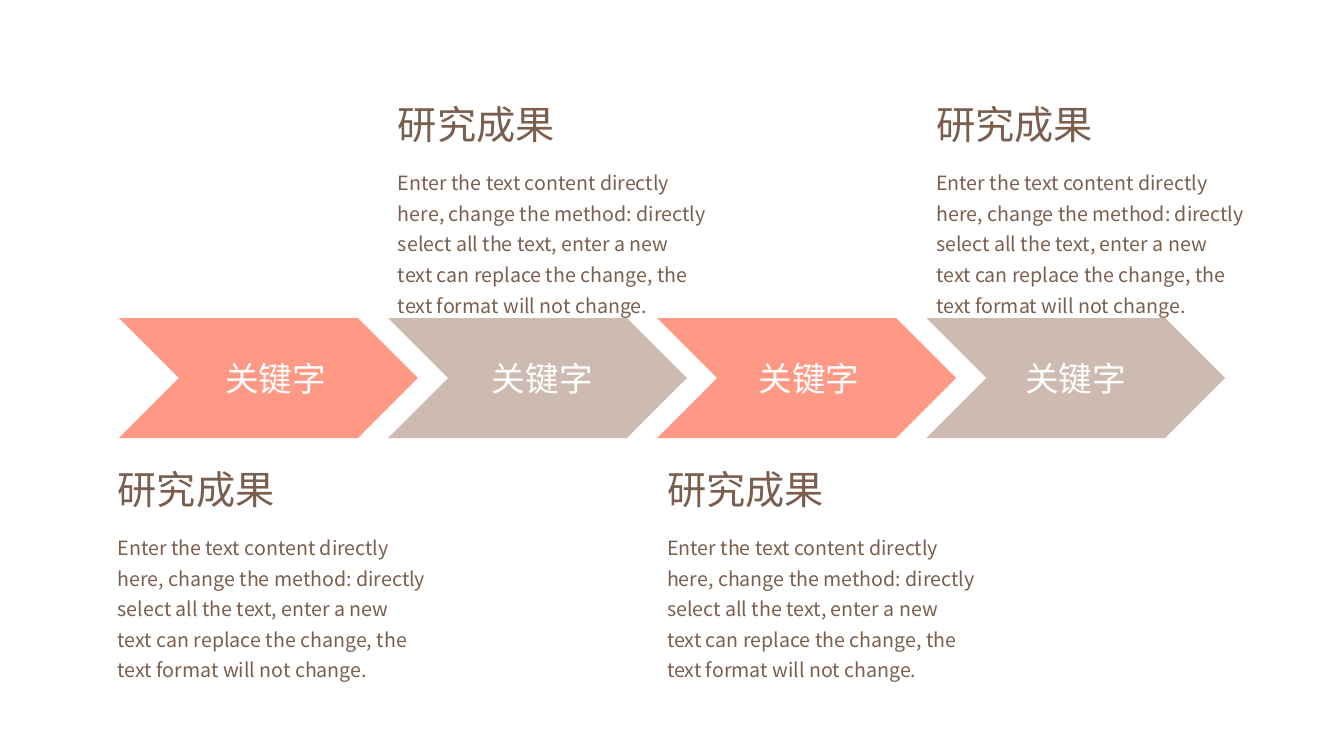
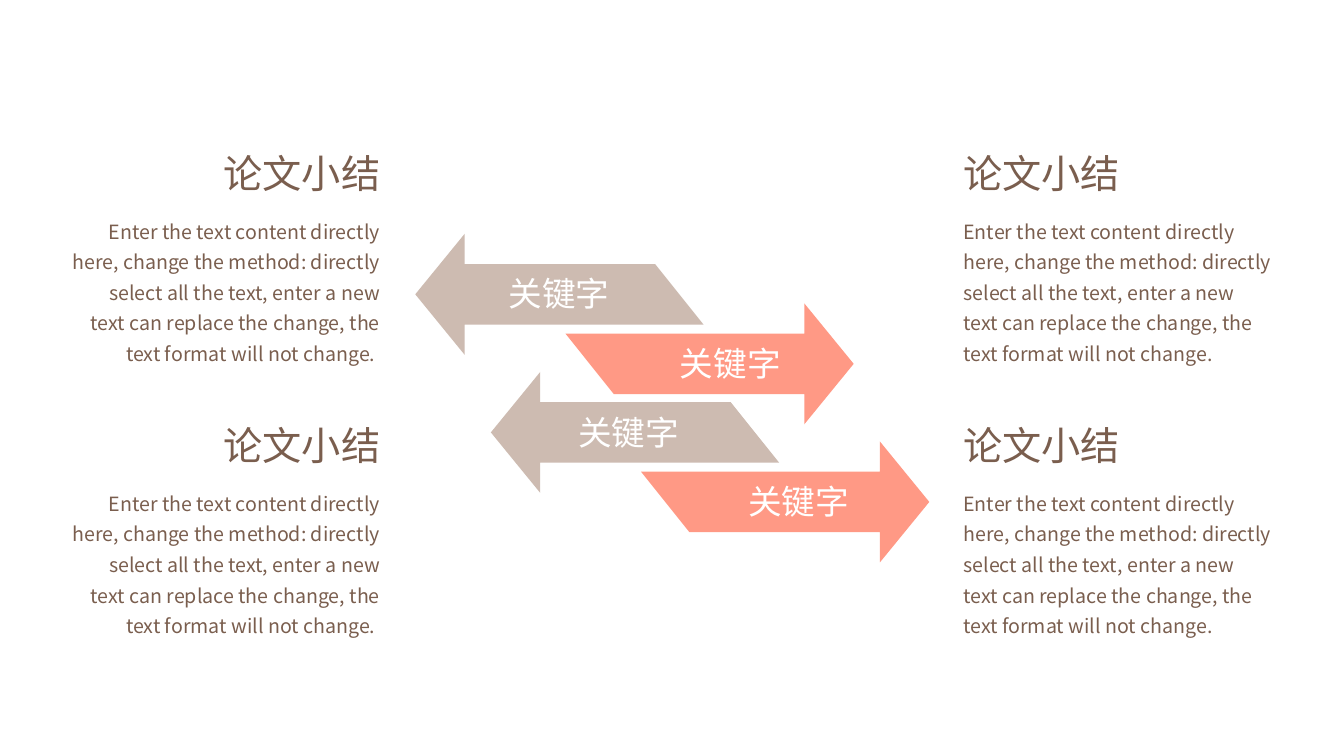
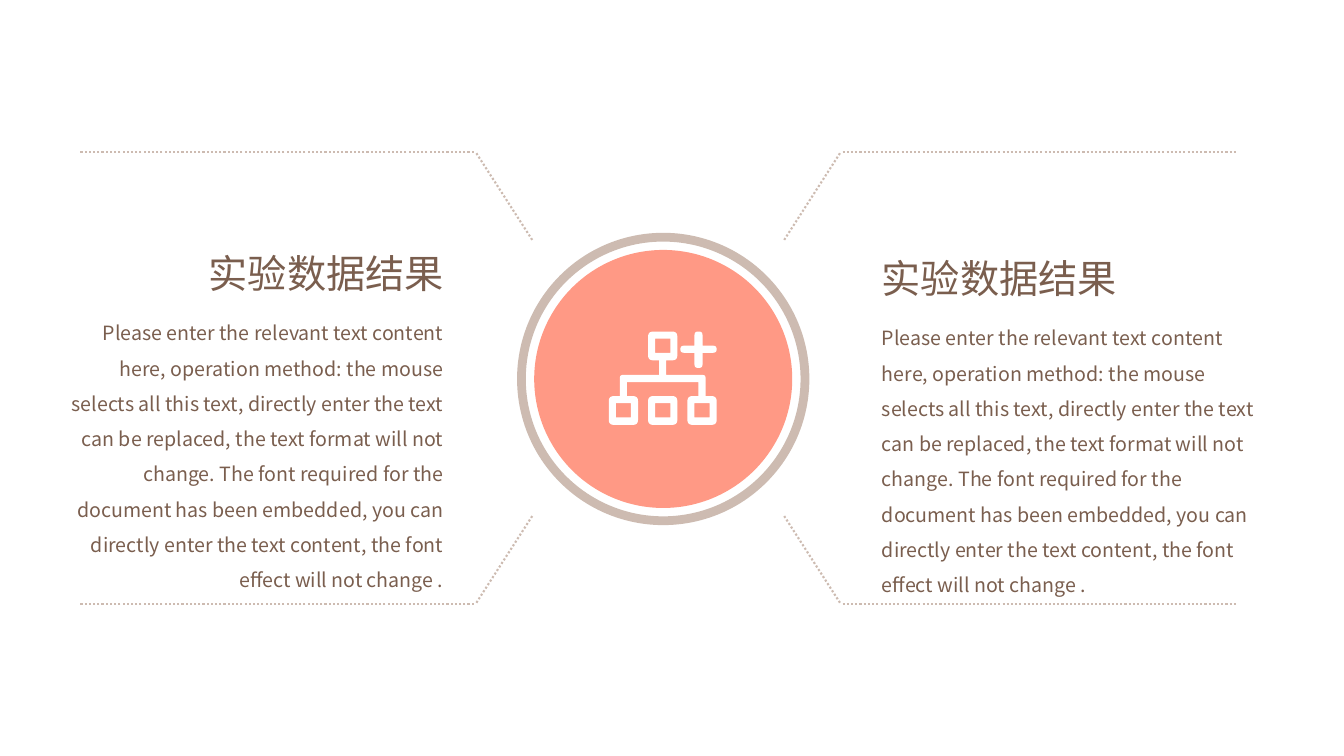
from lxml import etree
from pptx import Presentation
from pptx.dml.color import RGBColor
from pptx.enum.dml import MSO_LINE
from pptx.enum.shapes import MSO_CONNECTOR, MSO_SHAPE
from pptx.enum.text import MSO_AUTO_SIZE, PP_ALIGN
from pptx.oxml.ns import qn
from pptx.util import Inches, Pt
from math import dist

COLORS = {"coral": "FF9985", "taupe": "CDBBB1", "brown": "7A5E4E", "white": "FFFFFF"}
FONT = "Noto Sans CJK SC"
KEYWORD = "关键字"
SHORT_TEXT = (
    "Enter the text content directly here, change the method: directly select all "
    "the text, enter a new text can replace the change, the text format will not change."
)
LONG_TEXT = (
    "Please enter the relevant text content here, operation method: the mouse selects "
    "all this text, directly enter the text can be replaced, the text format will not "
    "change. The font required for the document has been embedded, you can directly "
    "enter the text content, the font effect will not change ."
)


def rgb(name):
    return RGBColor.from_string(COLORS[name])


# Elements shared by the slides
def add_text(slide, box, text, size, color="brown", align=PP_ALIGN.LEFT, spacing=1.0):
    shape = slide.shapes.add_textbox(*map(Inches, box))
    frame = shape.text_frame
    frame.word_wrap = True
    frame.auto_size = MSO_AUTO_SIZE.SHAPE_TO_FIT_TEXT
    paragraph = frame.paragraphs[0]
    paragraph.text = text
    paragraph.alignment = align
    paragraph.line_spacing = spacing
    font = paragraph.font
    font.size = Pt(size)
    font.color.rgb = rgb(color)
    font.name = FONT
    properties = paragraph._p.pPr.find(qn("a:defRPr"))
    etree.SubElement(properties, qn("a:ea")).set("typeface", FONT)


def add_label(slide, left, top):
    add_text(slide, (left, top, 1.77, 0.5), KEYWORD, 24, "white", PP_ALIGN.CENTER)


def add_block(slide, left, top, title, body, align=PP_ALIGN.LEFT,
              width=3.26, height=1.3, body_offset=0.63, spacing=1.3):
    add_text(slide, (left, top, width, 0.57), title, 28, align=align)
    add_text(slide, (left, top + body_offset, width, height), body, 14,
             align=align, spacing=spacing)


def paint(shape, color):
    shape.shadow.inherit = False
    shape.fill.solid()
    shape.fill.fore_color.rgb = rgb(color)
    shape.line.fill.background()


def add_shape(slide, kind, box, color, adjustment=None):
    shape = slide.shapes.add_shape(kind, *map(Inches, box))
    paint(shape, color)
    if adjustment is not None:
        shape.adjustments[0] = adjustment


def add_outline(slide, contours, color):
    """One filled freeform made of closed contours."""
    scaled = [[(Inches(x), Inches(y)) for x, y in contour] for contour in contours]
    builder = slide.shapes.build_freeform(*scaled[0][0])
    for index, contour in enumerate(scaled):
        if index:
            builder.move_to(*contour[0])
        builder.add_line_segments(contour[1:], close=True)
    paint(builder.convert_to_shape(), color)


def add_dotted_line(slide, start, end):
    line = slide.shapes.add_connector(MSO_CONNECTOR.STRAIGHT, *map(Inches, start + end))
    line.line.color.rgb = rgb("taupe")
    line.line.width = Pt(1.5)
    line.line.dash_style = MSO_LINE.ROUND_DOT
    etree.SubElement(line._element.spPr, qn("a:effectLst"))


def add_slanted_arrow(slide, tail_x, tail_y, direction, color):
    """Arrow with a slanted tail; direction 1 points right, -1 is turned half round."""
    outline = [(0, 0), (0.48, 0.6), (2.37, 0.6), (2.37, 0.9),
               (2.86, 0.3), (2.37, -0.3), (2.37, 0)]
    add_outline(slide, [[(tail_x + direction * x, tail_y + direction * y)
                         for x, y in outline]], color)


# Tree icon
def round_corners(corners, steps=6):
    """Turn (x, y, radius) corners into points, with each corner as a short curve."""
    points = []
    for index, (x, y, radius) in enumerate(corners):
        if not radius:
            points.append((x, y))
            continue
        ends = []
        for other in (corners[index - 1], corners[(index + 1) % len(corners)]):
            share = radius / dist((x, y), other[:2])
            ends.append((x + (other[0] - x) * share, y + (other[1] - y) * share))
        (start_x, start_y), (end_x, end_y) = ends
        for step in range(steps + 1):
            t = step / steps
            a, b, c = (1 - t) ** 2, 2 * t * (1 - t), t ** 2
            points.append((a * start_x + b * x + c * end_x,
                           a * start_y + b * y + c * end_y))
    return points


def node_corners(left, top):
    """Corners of a node, clockwise from the bottom left."""
    right, bottom, radius = left + 0.29, top + 0.285, 0.05
    return [(left, bottom, radius), (left, top, radius),
            (right, top, radius), (right, bottom, radius)]


def add_tree_icon(slide):
    root, first, middle, last = nodes = [(6.43, 3.29), (6.04, 3.93), (6.43, 3.93), (6.82, 3.93)]
    first_node, last_node = node_corners(*first), node_corners(*last)
    tree = [
        (6.54, 3.72, 0), (6.54, 3.575, 0), *node_corners(*root), (6.61, 3.575, 0),
        (6.61, 3.72, 0), (7, 3.72, 0.03), (7, 3.93, 0),
        *last_node[2:], *last_node[:2],
        (6.93, 3.93, 0), (6.93, 3.79, 0), (6.22, 3.79, 0), (6.22, 3.93, 0),
        *first_node[2:], *first_node[:2],
        (6.15, 3.93, 0), (6.15, 3.72, 0.03),
    ]
    end = 0.035
    plus = [
        (6.89, 3.43, 0), (6.89, 3.29, end), (6.97, 3.29, end), (6.97, 3.43, 0),
        (7.11, 3.43, end), (7.11, 3.5, end), (6.97, 3.5, 0), (6.97, 3.65, end),
        (6.89, 3.65, end), (6.89, 3.5, 0), (6.75, 3.5, end), (6.75, 3.43, end),
    ]
    holes = [[(left + x, top + y) for x, y in
              ((0.07, 0.07), (0.07, 0.21), (0.22, 0.21), (0.22, 0.07))]
             for left, top in nodes]
    solids = [round_corners(part) for part in (tree, node_corners(*middle), plus)]
    add_outline(slide, solids + holes, "white")


# Slides
def build_process(slide):
    for index in range(4):
        color = "taupe" if index % 2 else "coral"
        add_shape(slide, MSO_SHAPE.CHEVRON,
                  (1.18 + 2.67 * index, 3.155, 2.965, 1.19), color, 0.5)
    for left, top in ((1.07, 4.57), (6.52, 4.57), (3.85, 0.95), (9.19, 0.95)):
        add_block(slide, left, top, "研究成果", SHORT_TEXT)
    for index in range(4):
        add_label(slide, 1.85 + 2.645 * index, 3.5)


def build_summary(slide):
    for row in range(2):
        shift_x, shift_y = 0.75 * row, 1.37 * row
        add_slanted_arrow(slide, 5.61 + shift_x, 3.31 + shift_y, 1, "coral")
        add_slanted_arrow(slide, 6.98 + shift_x, 3.22 + shift_y, -1, "taupe")
        add_label(slide, 4.66 + 0.69 * row, 2.66 + 1.38 * row)
        add_label(slide, 6.36 + 0.68 * row, 3.35 + 1.37 * row)
        top = 1.43 + 2.7 * row
        add_block(slide, 9.46, top, "论文小结", SHORT_TEXT)
        add_block(slide, 0.61, top, "论文小结", SHORT_TEXT + " ", PP_ALIGN.RIGHT)


def build_results(slide):
    # Central badge
    add_shape(slide, MSO_SHAPE.OVAL, (5.3, 2.48, 2.56, 2.56), "coral")
    add_shape(slide, MSO_SHAPE.DONUT, (5.13, 2.31, 2.9, 2.9), "taupe", 0.03)
    # Dotted brackets, mirrored about the centre
    center_x, center_y = 6.53, 3.75
    for side in (-1, 1):
        for direction in (-1, 1):
            edge = center_y + direction * 2.24
            add_dotted_line(slide, (center_x + side * 1.25, center_y + direction * 1.37),
                            (center_x + side * 1.81, edge))
            add_dotted_line(slide, (center_x + side * 1.83, edge),
                            (center_x + side * 5.75, edge))
    add_tree_icon(slide)
    # Text on both sides
    for left, top, align in ((8.65, 2.47, PP_ALIGN.LEFT), (0.58, 2.42, PP_ALIGN.RIGHT)):
        add_block(slide, left, top, "实验数据结果", LONG_TEXT, align,
                  width=3.92, height=2.19, body_offset=0.6, spacing=1.5)


def main():
    presentation = Presentation()
    presentation.slide_width = Inches(40 / 3)
    presentation.slide_height = Inches(7.5)
    blank = presentation.slide_layouts[6]
    for build in (build_process, build_summary, build_results):
        build(presentation.slides.add_slide(blank))
    presentation.save("out.pptx")


if __name__ == "__main__":
    main()
